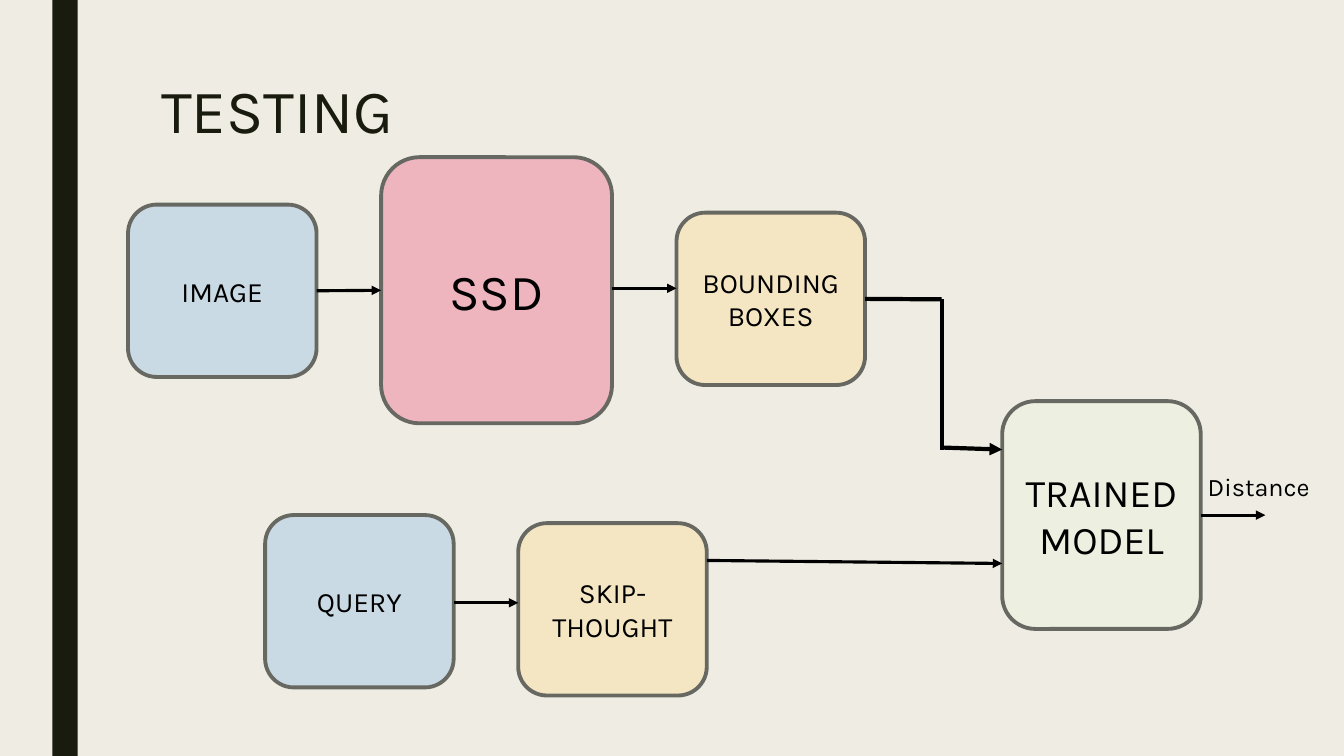
from dataclasses import dataclass
from typing import Optional

from lxml import etree
from pptx import Presentation
from pptx.dml.color import RGBColor
from pptx.enum.shapes import MSO_CONNECTOR, MSO_SHAPE
from pptx.enum.text import MSO_ANCHOR, PP_ALIGN
from pptx.oxml.ns import qn
from pptx.util import Inches, Pt

RECT, ROUND = MSO_SHAPE.RECTANGLE, MSO_SHAPE.ROUNDED_RECTANGLE
STRAIGHT = MSO_CONNECTOR.STRAIGHT
TOP, MIDDLE = MSO_ANCHOR.TOP, MSO_ANCHOR.MIDDLE
LEFT, CENTER = PP_ALIGN.LEFT, PP_ALIGN.CENTER
LEFT_SIDE, RIGHT_SIDE = 1, 3

CREAM = RGBColor(0xEF, 0xED, 0xE3)
DARK = RGBColor(0x19, 0x1B, 0x0E)
BLACK = RGBColor(0x00, 0x00, 0x00)
GREY = RGBColor(0x68, 0x68, 0x63)
PINK = RGBColor(0xEE, 0xB5, 0xBF)
GREEN = RGBColor(0xED, 0xEF, 0xE0)
BLUE = RGBColor(0xC9, 0xDA, 0xE4)
YELLOW = RGBColor(0xF5, 0xE6, 0xC3)

FONT = "Karla"
SMALL_W, SMALL_H = 1.87, 1.71


@dataclass
class Box:
    text: str
    x: float
    y: float
    fill: RGBColor
    w: float = SMALL_W
    h: float = SMALL_H
    size: float = 20


@dataclass
class Link:
    x1: float
    y1: float
    x2: float
    y2: float
    width: float = 2.25
    arrow: bool = True
    begin: Optional[str] = None  # box joined on its right side
    end: Optional[str] = None  # box joined on its left side


BOXES = [
    Box("SSD", 3.78, 1.56, PINK, 2.29, 2.64, 36),
    Box("TRAINED\nMODEL", 9.94, 3.98, GREEN, 1.97, 2.26, 28),
    Box("IMAGE", 1.27, 2.03, BLUE),
    Box("BOUNDING\nBOXES", 6.71, 2.11, YELLOW),
    Box("QUERY", 2.63, 5.11, BLUE),
    Box("SKIP-THOUGHT", 5.14, 5.19, YELLOW),
]

LINKS = [
    Link(3.14, 2.88, 3.78, 2.88, begin="IMAGE", end="SSD"),
    Link(6.07, 2.86, 6.71, 2.86),
    Link(8.58, 2.97, 9.34, 2.97, 3, False, begin="BOUNDING\nBOXES"),
    Link(9.34, 2.97, 9.34, 4.46, 3, False),
    Link(9.34, 4.44, 9.94, 4.46, 3),
    Link(4.5, 5.98, 5.14, 5.98),
    Link(7.01, 5.56, 9.94, 5.59),
    Link(11.91, 5.11, 12.55, 5.11, begin="TRAINED\nMODEL"),
]


def set_text(sp, text: str, size: float, color=BLACK, align=LEFT, anchor=TOP, spacing=None) -> None:
    tf = sp.text_frame
    tf.text = text
    tf.word_wrap = True
    tf.vertical_anchor = anchor
    for p in tf.paragraphs:
        p.alignment = align
        if spacing:
            p.line_spacing = spacing
        for r in p.runs:
            r.font.name = FONT
            r.font.size = Pt(size)
            r.font.color.rgb = color


def add_box(s, box: Box):
    sp = s.shapes.add_shape(ROUND, Inches(box.x), Inches(box.y), Inches(box.w), Inches(box.h))
    sp.shadow.inherit = False
    sp.fill.solid()
    sp.fill.fore_color.rgb = box.fill
    sp.line.color.rgb = GREY
    sp.line.width = Pt(2.75)
    set_text(sp, box.text, box.size, align=CENTER, anchor=MIDDLE)
    return sp


def add_link(s, link: Link, shapes: dict) -> None:
    cx = s.shapes.add_connector(STRAIGHT, Inches(link.x1), Inches(link.y1), Inches(link.x2), Inches(link.y2))
    if link.begin:
        cx.begin_connect(shapes[link.begin], RIGHT_SIDE)
    if link.end:
        cx.end_connect(shapes[link.end], LEFT_SIDE)
    cx.line.color.rgb = BLACK
    cx.line.width = Pt(link.width)
    if link.arrow:
        etree.SubElement(cx.line._get_or_add_ln(), qn("a:tailEnd"), type="triangle")
    etree.SubElement(cx._element.spPr, qn("a:effectLst"))


def add_label(s, text: str, x: float, y: float, w: float, h: float, size: float, **style) -> None:
    sp = s.shapes.add_textbox(Inches(x), Inches(y), Inches(w), Inches(h))
    set_text(sp, text, size, **style)


def main() -> None:
    prs = Presentation()
    prs.slide_width, prs.slide_height = Inches(13.33), Inches(7.5)
    s = prs.slides.add_slide(prs.slide_layouts[6])

    # Background and side bar
    s.background.fill.solid()
    s.background.fill.fore_color.rgb = CREAM
    bar = s.shapes.add_shape(RECT, Inches(0.52), 0, Inches(0.25), prs.slide_height)
    bar.shadow.inherit = False
    bar.fill.solid()
    bar.fill.fore_color.rgb = DARK
    bar.line.fill.background()

    # Title
    add_label(s, "TESTING", 1.5, 0.75, 10.5, 1.62, 44, color=DARK, spacing=0.89)

    # Flow diagram
    shapes = {box.text: add_box(s, box) for box in BOXES}
    for link in LINKS:
        add_link(s, link, shapes)
    add_label(s, "Distance", 11.88, 4.63, 1.21, 0.4, 18)

    prs.save("out.pptx")


if __name__ == "__main__":
    main()
